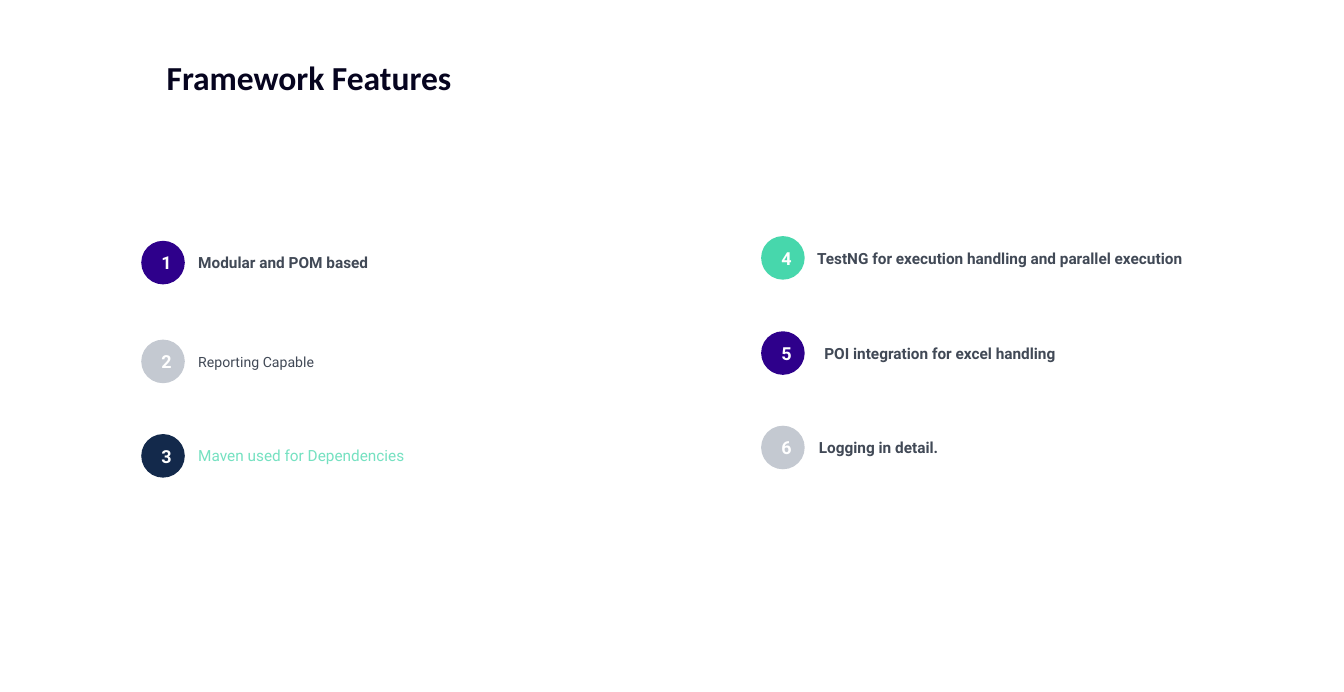
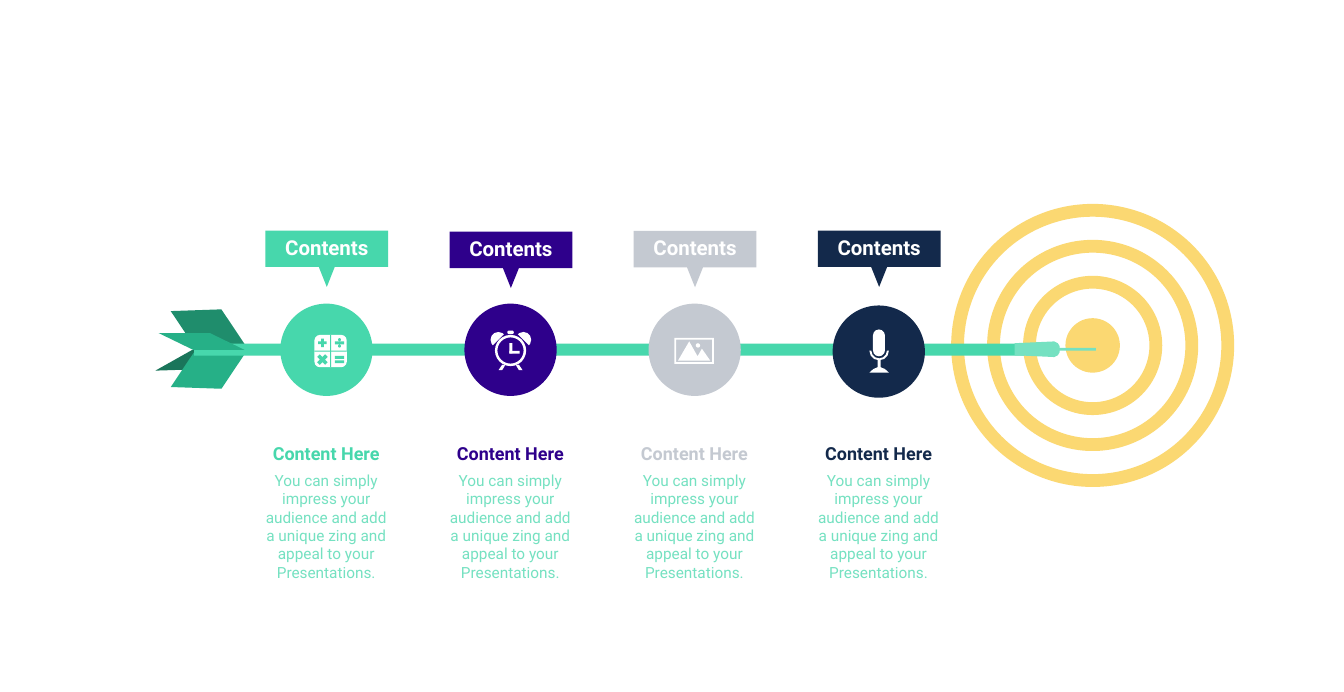
from pptx import Presentation
from pptx.dml.color import RGBColor
from pptx.enum.shapes import MSO_SHAPE
from pptx.enum.text import MSO_ANCHOR, PP_ALIGN
from pptx.util import Cm, Pt

OVAL = MSO_SHAPE.OVAL
RECT = MSO_SHAPE.RECTANGLE
ROUND = MSO_SHAPE.ROUNDED_RECTANGLE
SLANT = MSO_SHAPE.PARALLELOGRAM
CHORD = MSO_SHAPE.CHORD
DONUT = MSO_SHAPE.DONUT
FRAME = MSO_SHAPE.FRAME
ARC = MSO_SHAPE.BLOCK_ARC
PLUS = MSO_SHAPE.MATH_PLUS
DIVIDE = MSO_SHAPE.MATH_DIVIDE
TIMES = MSO_SHAPE.MATH_MULTIPLY
EQUAL = MSO_SHAPE.MATH_EQUAL
TOP, MIDDLE, BOTTOM = MSO_ANCHOR.TOP, MSO_ANCHOR.MIDDLE, MSO_ANCHOR.BOTTOM
LEFT, CENTER = PP_ALIGN.LEFT, PP_ALIGN.CENTER

COLORS = {
    "white": "FFFFFF", "ink": "06041F", "text": "414956",
    "green": "47D7AC", "mint": "75E1C1", "violet": "2E008B",
    "gray": "C4C9D1", "navy": "13294B", "gold": "FBD872",
    "pine": "1A755A", "fern": "1F8D6C", "jade": "26B087",
}
BODY, HEAD = "Roboto", "Calibri"
INSETS = (0.25, 0.13, 0.25, 0.13)
DISC = 2.54


def rgb(name):
    return RGBColor.from_string(COLORS[name])


def paint(shape, color):
    shape.shadow.inherit = False
    shape.fill.solid()
    shape.fill.fore_color.rgb = rgb(color)
    shape.line.fill.background()
    return shape


def add_form(slide, kind, x, y, w, h, color, adj=(), turn=0, flip=False):
    shape = slide.shapes.add_shape(kind, Cm(x), Cm(y), Cm(w), Cm(h))
    for i, value in enumerate(adj):
        shape.adjustments[i] = value
    shape.rotation = turn
    if flip:
        shape.element.spPr.xfrm.set("flipH", "1")
    return paint(shape, color)


def add_poly(slide, points, color, x=0, y=0):
    spots = [(Cm(x + px), Cm(y + py)) for px, py in points]
    pen = slide.shapes.build_freeform(*spots[0])
    pen.add_line_segments(spots[1:])
    return paint(pen.convert_to_shape(), color)


def set_text(shape, text, size, color, bold=False, align=LEFT,
             anchor=MIDDLE, font=BODY, insets=INSETS):
    frame = shape.text_frame
    frame.text = text
    frame.word_wrap = True
    frame.vertical_anchor = anchor
    (frame.margin_left, frame.margin_top,
     frame.margin_right, frame.margin_bottom) = map(Cm, insets)
    para = frame.paragraphs[0]
    para.alignment = align
    style = para.runs[0].font
    style.name, style.size, style.bold = font, Pt(size), bold
    style.color.rgb = rgb(color)


def add_text(slide, box, text, size, color, **style):
    shape = slide.shapes.add_textbox(*map(Cm, box))
    set_text(shape, text, size, color, **style)


def add_title(slide, text):
    add_text(slide, (4.39, 1.45, 25.45, 1.37), text, 26.2, "ink", bold=True,
             anchor=BOTTOM, font=HEAD, insets=(0.2, 0.13, 0.25, 0.13))


def add_item(slide, num, x, y, fill, text, gap=1.32, size=12,
             color="text", bold=True):
    disc = add_form(slide, OVAL, x, y, 1.2, 1.2, fill)
    set_text(disc, str(num), 14, "white", bold=True, align=CENTER,
             insets=(0.2, 0, 0, 0))
    add_text(slide, (x + gap, y + 0.22, 12.78, 0.76), text, size, color,
             bold=bold)


def add_target(slide, x, y):
    for size in (7.44, 5.46, 3.48):
        ring = add_form(slide, OVAL, x - size / 2, y - size / 2,
                        size, size, "white")
        ring.line.color.rgb = rgb("gold")
        ring.line.width = Pt(10)
    add_form(slide, OVAL, x - 0.75, y - 0.75, 1.5, 1.5, "gold")


def add_arrow(slide):
    add_form(slide, SLANT, 4.27, 9.63, 2.72, 0.53, "pine", [1.92], 358.2)
    add_form(slide, SLANT, 4.72, 8.53, 2.01, 0.99, "fern", [0.62], 358, True)
    add_form(slide, SLANT, 4.72, 9.7, 2.01, 0.99, "jade", [0.62], 2)
    add_form(slide, RECT, 5.35, 9.46, 22.86, 0.33, "green")
    add_poly(slide, [(27.94, 9.45), (29.03, 9.4), (29.13, 9.45),
                     (29.18, 9.53), (29.18, 9.58), (30.18, 9.58),
                     (30.18, 9.65), (29.18, 9.65), (29.18, 9.7),
                     (29.13, 9.78), (29.03, 9.83), (27.94, 9.78)], "mint")
    add_form(slide, SLANT, 4.37, 9.17, 2.36, 0.46, "jade", [2.06], flip=True)


def add_parts(slide, x, y, parts):
    for kind, px, py, w, h, *adj in parts:
        add_form(slide, kind, x + px, y + py, w, h, "white", adj)


def draw_sums(slide, x, y):
    add_parts(slide, x, y, [(ROUND, 0.94, 0.86, 0.89, 0.89, 0.17)])
    add_form(slide, RECT, x + 1.37, y + 0.86, 0.03, 0.89, "green")
    add_form(slide, RECT, x + 0.94, y + 1.29, 0.89, 0.03, "green")
    signs = [(PLUS, 1.16, 1.08, 0.32), (DIVIDE, 1.63, 1.08, 0.34),
             (TIMES, 1.16, 1.54, 0.42), (EQUAL, 1.63, 1.54, 0.34)]
    for kind, px, py, size in signs:
        add_form(slide, kind, x + px - size / 2, y + py - size / 2,
                 size, size, "green")


def draw_clock(slide, x, y):
    add_parts(slide, x, y, [
        (CHORD, 0.72, 0.78, 0.43, 0.43, 81, 189),
        (CHORD, 1.41, 0.78, 0.43, 0.43, 135, 27),
        (ROUND, 1.18, 0.74, 0.18, 0.1, 0.5),
        (DONUT, 0.84, 0.86, 0.86, 0.86, 0.08),
        (RECT, 1.24, 1.09, 0.08, 0.28),
        (RECT, 1.24, 1.3, 0.28, 0.08),
    ])
    leg = [(1.04, 1.68), (0.94, 1.83), (1.04, 1.83), (1.12, 1.7)]
    add_poly(slide, leg, "white", x, y)
    add_poly(slide, [(DISC - px, py) for px, py in leg], "white", x, y)


def draw_photo(slide, x, y):
    add_parts(slide, x, y, [(FRAME, 0.71, 0.94, 1.09, 0.72, 0.07),
                            (OVAL, 1.3, 1.09, 0.12, 0.12)])
    add_poly(slide, [(1.12, 1.04), (1.35, 1.45), (1.47, 1.24),
                     (1.7, 1.57), (0.81, 1.57)], "white", x, y)


def draw_mic(slide, x, y):
    add_parts(slide, x, y, [
        (ROUND, 1.11, 0.66, 0.33, 0.74, 0.5),
        (ARC, 1.01, 0.97, 0.54, 0.54, 0, 108, 0.1),
        (RECT, 1.24, 1.48, 0.08, 0.24),
    ])
    add_poly(slide, [(1.01, 1.85), (1.12, 1.75), (1.24, 1.7),
                     (1.32, 1.7), (1.44, 1.75), (1.55, 1.85)], "white", x, y)


def add_step(slide, x, y, flag, color, draw):
    add_form(slide, OVAL, x, y, DISC, DISC, color)
    draw(slide, x, y)
    tag = add_poly(slide, [(0, 0), (3.38, 0), (3.38, 1), (1.91, 1),
                           (1.69, 1.55), (1.47, 1), (0, 1)],
                   color, x - 0.41, flag)
    set_text(tag, "Contents", 16, "white", bold=True, align=CENTER,
             insets=(0, 0, 0, 0.65))
    add_text(slide, (x - 0.74, 12.04, 4.01, 0.86), "Content Here", 14, color,
             bold=True, align=CENTER)
    add_text(slide, (x - 0.74, 12.83, 4.01, 3.33),
             "You can simply impress your audience and add a unique zing "
             "and appeal to your Presentations.", 12, "mint",
             align=CENTER, anchor=TOP)


def build_list(slide):
    add_title(slide, "Framework Features")
    one, two = 3.89, 20.96
    add_item(slide, 1, one, 6.63, "violet", "Modular and POM based")
    add_item(slide, 2, one, 9.35, "gray", "Reporting Capable",
             size=11, bold=False)
    add_item(slide, 3, one, 11.95, "navy", "Maven used for Dependencies",
             color="mint", bold=False)
    add_item(slide, 4, two, 6.5, "green",
             "TestNG for execution handling and parallel execution", 1.29)
    add_item(slide, 5, two, 9.12, "violet",
             "POI integration for excel handling", 1.49)
    add_item(slide, 6, two, 11.72, "gray", "Logging in detail.", 1.34)


def build_goal(slide):
    add_target(slide, 30.09, 9.51)
    add_arrow(slide)
    steps = [(8.36, 6.35, "green", draw_sums),
             (8.36, 6.38, "violet", draw_clock),
             (8.36, 6.36, "gray", draw_photo),
             (8.41, 6.35, "navy", draw_mic)]
    for i, step in enumerate(steps):
        add_step(slide, 7.72 + 5.07 * i, *step)


def main():
    deck = Presentation()
    deck.slide_width, deck.slide_height = Cm(37.01), Cm(19.05)
    blank = deck.slide_layouts[6]
    for build in (build_list, build_goal):
        build(deck.slides.add_slide(blank))
    deck.save("out.pptx")


if __name__ == "__main__":
    main()
